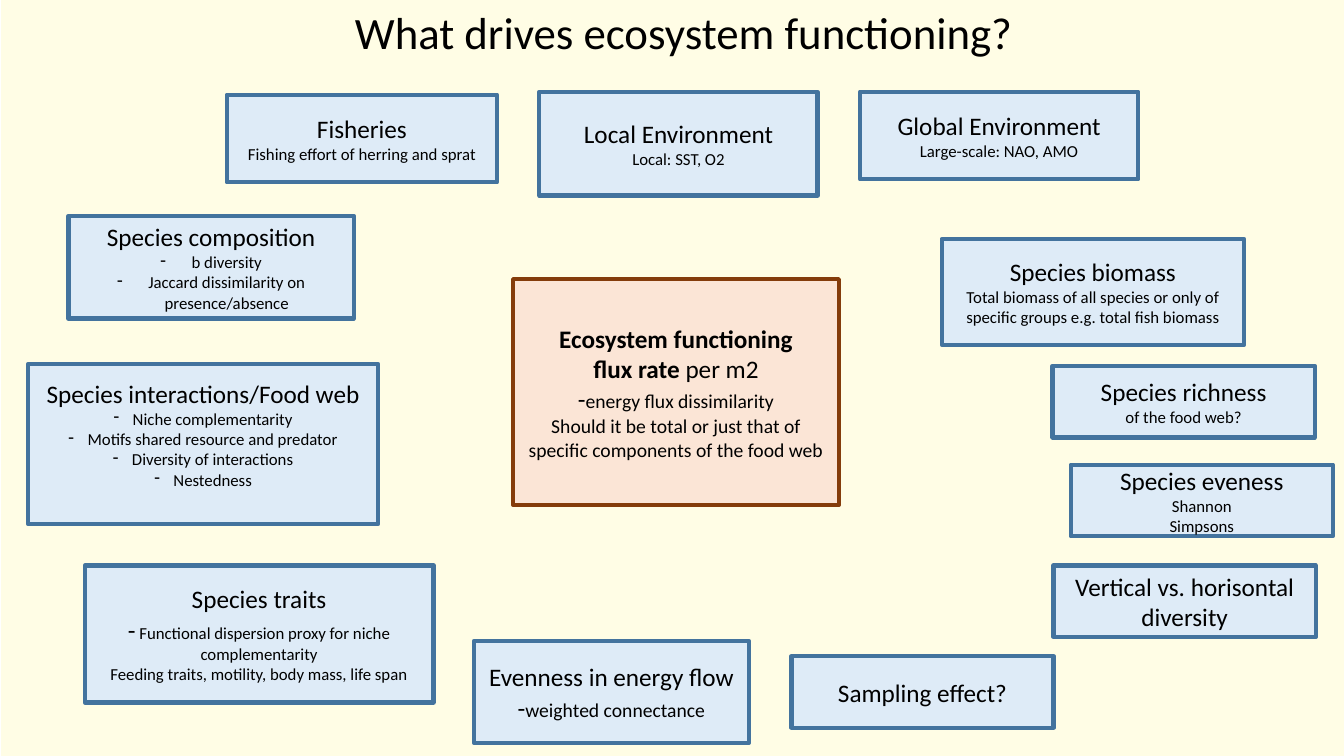
from lxml import etree
from pptx import Presentation
from pptx.dml.color import RGBColor
from pptx.enum.shapes import MSO_SHAPE as Preset
from pptx.enum.text import MSO_ANCHOR as Anchor, MSO_AUTO_SIZE as AutoSize, PP_ALIGN as Align
from pptx.oxml.ns import qn
from pptx.util import Inches, Pt

CREAM = RGBColor(0xFF, 0xFD, 0xE5)
PALE_BLUE = RGBColor(0xDE, 0xEB, 0xF7)
BLUE = RGBColor(0x43, 0x73, 0x9E)
PEACH = RGBColor(0xFB, 0xE5, 0xD6)
BROWN = RGBColor(0x84, 0x3C, 0x0B)
BLACK = RGBColor(0, 0, 0)


def write(para, text, size=18, bold=False, align=Align.CENTER, indent=0):
    """Add a run; an indent turns the paragraph into a dash bullet."""
    if indent:
        properties = para._p.get_or_add_pPr()
        properties.set("marL", str(Inches(indent)))
        properties.set("indent", str(-Inches(indent)))
        etree.SubElement(properties, qn("a:buChar")).set("char", "-")
    para.alignment = align
    span = para.add_run()
    span.text = text
    span.font.name = "Calibri"
    span.font.size = Pt(size)
    span.font.bold = bold
    span.font.color.rgb = BLACK


def add_box(place, fill, line, weight=3):
    box = slide.shapes.add_shape(Preset.RECTANGLE, *map(Inches, place))
    box.shadow.inherit = False
    box.fill.solid()
    box.fill.fore_color.rgb = fill
    box.line.color.rgb = line
    box.line.width = Pt(weight)
    frame = box.text_frame
    frame.word_wrap = True
    frame.vertical_anchor = Anchor.MIDDLE
    return box


deck = Presentation()
deck.slide_width, deck.slide_height = Inches(13.33), Inches(7.5)
slide = deck.slides.add_slide(deck.slide_layouts[5])

# Title on a cream backdrop
title = slide.shapes.title
title.left, title.top, title.width, title.height = map(Inches, (3.42, 0, 9.9, 0.64))
title.text_frame.auto_size = AutoSize.NONE
title.text_frame.vertical_anchor = Anchor.TOP
write(title.text_frame.paragraphs[0], "What drives ecosystem functioning?", size=32, align=Align.LEFT)
backdrop = add_box((0.02, 0, 13.31, 7.5), CREAM, CREAM, weight=1)
title.element.addprevious(backdrop.element)

# Central box: each paragraph is a list of (text, size, bold)
center_lines = [
    [("Ecosystem functioning", 18, True)],
    [("flux rate ", 18, True), ("per m2", 18, False)],
    [("-", 18, False), ("energy flux dissimilarity", 14, False)],
    [("Should it be total or just that of specific components of the food web", 14, False)],
]
center = add_box((5.09, 2.77, 3.23, 2.24), PEACH, BROWN).text_frame
for index, runs in enumerate(center_lines):
    para = center.add_paragraph() if index else center.paragraphs[0]
    for text, size, bold in runs:
        write(para, text, size=size, bold=bold)

# Drivers: place, heading, details, detail size, bullet indent
drivers = [
    ((9.34, 2.37, 3, 1.05), "Species biomass",
     ["Total biomass of all species or only of specific groups e.g. total fish biomass"], 12, 0),
    ((0.28, 3.61, 3.47, 1.59), "Species interactions/Food web",
     ["Niche complementarity", "Motifs shared resource and predator",
      "Diversity of interactions", "Nestedness"], 12, 0.19),
    ((0.84, 5.61, 3.46, 1.36), "Species traits",
     ["- Functional dispersion proxy for niche complementarity",
      "Feeding traits, motility, body mass, life span"], 12, 0),
    ((0.68, 2.14, 2.83, 1.02), "Species composition",
     ["b diversity", "Jaccard dissimilarity on presence/absence"], 12, 0.31),
    ((2.25, 0.94, 2.68, 0.87), "Fisheries", ["Fishing effort of herring and sprat"], 12, 0),
    ((5.35, 0.91, 2.76, 1.03), "Local Environment", ["Local: SST, O2"], 12, 0),
    ((10.44, 3.63, 2.6, 0.71), "Species richness", ["of the food web?"], 12, 0),
    ((8.53, 0.91, 2.76, 0.87), "Global Environment", ["Large-scale: NAO, AMO"], 12, 0),
    ((4.7, 6.36, 2.73, 1.01), "Evenness in energy flow", ["-weighted connectance"], 14, 0),
    ((7.85, 6.51, 2.6, 0.71), "Sampling effect?", [], 12, 0),
    ((10.62, 4.61, 2.6, 0.71), "Species eveness", ["Shannon", "Simpsons"], 12, 0),
    ((10.45, 5.61, 2.6, 0.71), "Vertical vs. horisontal diversity", [], 12, 0),
]
for place, heading, details, size, indent in drivers:
    frame = add_box(place, PALE_BLUE, BLUE).text_frame
    frame.margin_top = frame.margin_bottom = 0
    if heading.startswith("Species interactions"):
        frame.margin_bottom = Inches(0.2)  # lifts the list above the middle
    write(frame.paragraphs[0], heading)
    for detail in details:
        para = frame.add_paragraph()
        if detail.startswith("-"):  # a typed dash keeps the heading size
            write(para, "-")
            detail = detail[1:]
        write(para, detail, size=size, indent=indent)

deck.save("out.pptx")
